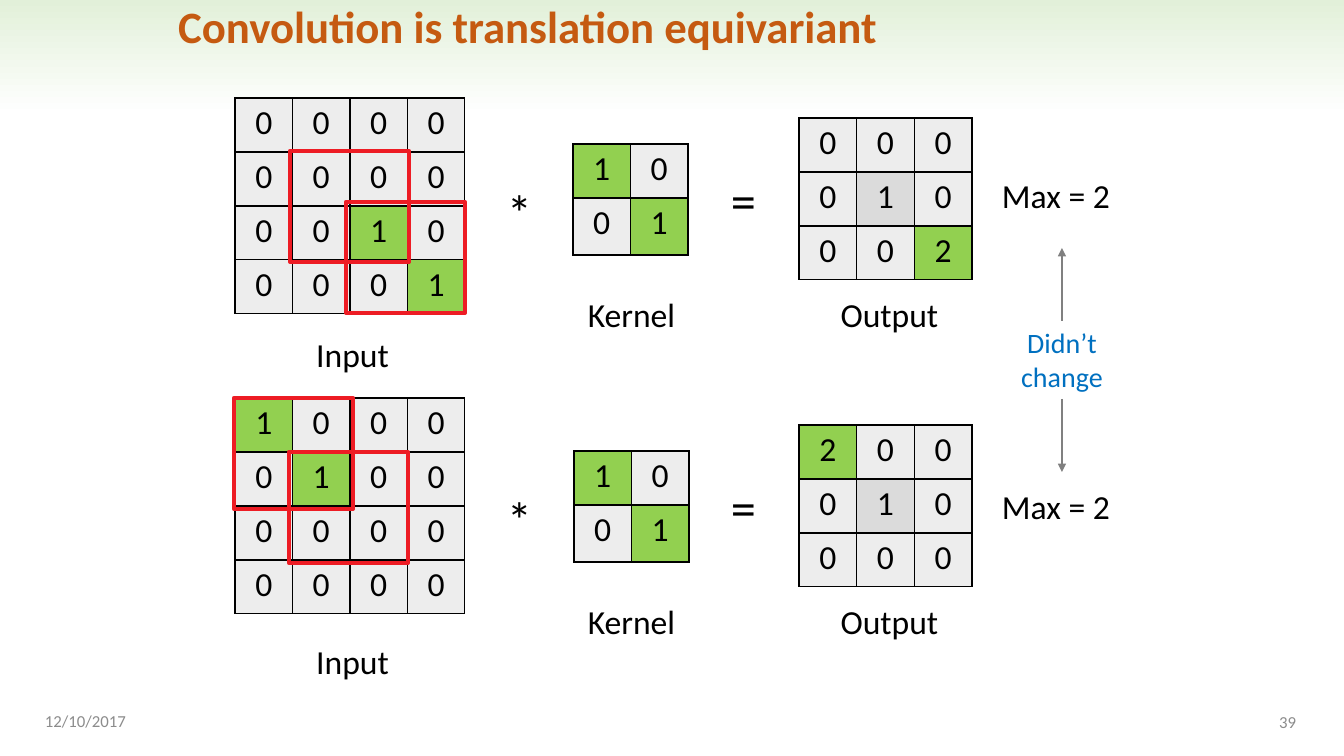
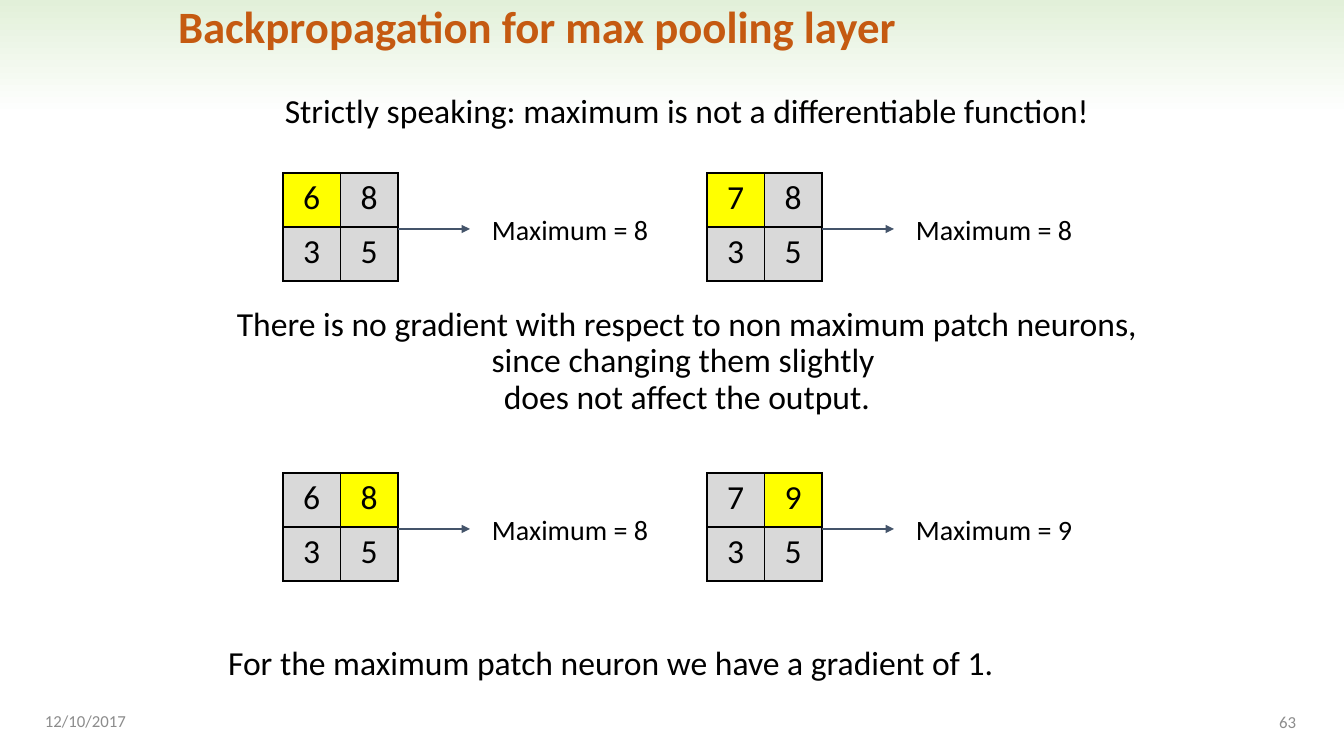
from dataclasses import dataclass
from typing import NamedTuple

from lxml import etree
from pptx import Presentation
from pptx.dml.color import RGBColor
from pptx.enum.shapes import MSO_CONNECTOR, MSO_SHAPE
from pptx.enum.text import MSO_ANCHOR, MSO_AUTO_SIZE, PP_ALIGN
from pptx.oxml.ns import qn
from pptx.util import Emu, Pt

LEFT, MID, RIGHT = PP_ALIGN.LEFT, PP_ALIGN.CENTER, PP_ALIGN.RIGHT
TOP, HALF = MSO_ANCHOR.TOP, MSO_ANCHOR.MIDDLE
RECT, LINE = MSO_SHAPE.RECTANGLE, MSO_CONNECTOR.STRAIGHT
FIXED = MSO_AUTO_SIZE.NONE

SCALE = 914400 / 100.8
WIDE, HIGH = 1344, 756
ROW = 54
FONT = "Calibri"
DATE = "12/10/2017"

BLACK, WHITE = "000000", "FFFFFF"
MINT, RUST = "E2F0D9", "C55A11"
PALE, GREY, ASH = "EDEDED", "DBDBDB", "D9D9D9"
GREEN, GOLD, RED = "92D050", "FFFF00", "ED1C24"
BLUE, SLATE, STEEL, DIM = "0070C0", "44546A", "808080", "8C8C8C"


class Box(NamedTuple):
    x: int
    y: int
    w: int
    h: int


@dataclass(frozen=True)
class Grid:
    x: int
    y: int
    w: int
    rows: tuple[str, ...]
    marks: dict[tuple[int, int], str]
    base: str = PALE
    last: int = ROW


@dataclass(frozen=True)
class Case:
    shift: int
    grids: tuple[Grid, ...]
    frames: tuple[tuple[int, int], ...]
    peak: int


@dataclass(frozen=True)
class Patch:
    x: int
    y: int
    rows: tuple[str, str]
    mark: tuple[int, int]
    peak: str


def px(count: int) -> Emu:
    return Emu(round(count * SCALE))


def tint(code: str) -> RGBColor:
    return RGBColor.from_string(code)


def write(par, text: str, *, size: int = 24, color: str = BLACK,
          bold: bool = False, align=LEFT, lead=1.0, after: int = 0) -> None:
    par.text = text
    par.alignment = align
    par.line_spacing = lead
    par.space_before = Pt(0)
    par.space_after = Pt(after)
    for run in par.runs:
        run.font.name = FONT
        run.font.size = Pt(size)
        run.font.bold = bold
        run.font.color.rgb = tint(color)


def place(shape, box: Box):
    shape.left, shape.top, shape.width, shape.height = map(px, box)
    frame = shape.text_frame
    frame.auto_size = FIXED
    frame.vertical_anchor = TOP
    return frame


def label(slide, box: Box, text: str, *, wrap: bool = True, anchor=TOP,
          inset: int = 0, **form):
    shape = slide.shapes.add_textbox(*map(px, box))
    frame = shape.text_frame
    frame.word_wrap = wrap
    frame.vertical_anchor = anchor
    if inset:
        pad = px(inset)
        frame.margin_left = frame.margin_right = pad
        frame.margin_top = frame.margin_bottom = pad
    write(frame.paragraphs[0], text, **form)
    return shape


def edge(cell) -> None:
    props = cell._tc.get_or_add_tcPr()
    for side in ("a:lnL", "a:lnR", "a:lnT", "a:lnB"):
        line = etree.SubElement(props, qn(side), w=str(Pt(1)))
        fill = etree.SubElement(line, qn("a:solidFill"))
        etree.SubElement(fill, qn("a:srgbClr"), val=BLACK)


def table(slide, grid: Grid) -> None:
    count, span = len(grid.rows), len(grid.rows[0])
    high = ROW * (count - 1) + grid.last
    box = Box(grid.x, grid.y, grid.w, high)
    tab = slide.shapes.add_table(count, span, *map(px, box)).table
    tab.first_row = tab.horz_banding = False
    for col in tab.columns:
        col.width = Emu(px(grid.w) // span)
    for r, digits in enumerate(grid.rows):
        tab.rows[r].height = px(grid.last if r == count - 1 else ROW)
        for c, digit in enumerate(digits):
            cell = tab.cell(r, c)
            edge(cell)
            cell.fill.solid()
            cell.fill.fore_color.rgb = tint(grid.marks.get((r, c), grid.base))
            write(cell.text_frame.paragraphs[0], digit, align=MID)


def arrow(slide, x: int, y: int, far: int, end: int, color: str, width: float):
    link = slide.shapes.add_connector(LINE, px(x), px(y), px(far), px(end))
    link.line.color.rgb = tint(color)
    link.line.width = Pt(width)
    props = link.element.spPr
    etree.SubElement(props.find(qn("a:ln")), qn("a:tailEnd"), type="triangle")
    etree.SubElement(props, qn("a:effectLst"))
    return link


def frame_in(slide, x: int, y: int) -> None:
    shape = slide.shapes.add_shape(RECT, *map(px, Box(x, y, 119, 111)))
    shape.shadow.inherit = False
    shape.fill.background()
    shape.line.color.rgb = tint(RED)
    shape.line.width = Pt(3)


def band(deck, slide) -> None:
    shape = slide.shapes.add_shape(RECT, *map(px, Box(0, 0, WIDE, 115)))
    shape.shadow.inherit = False
    shape.line.fill.background()
    shape.fill.gradient()
    shape.fill.gradient_angle = 270
    for stop, color in zip(shape.fill.gradient_stops, (MINT, WHITE)):
        stop.color.rgb = tint(color)
    deck.slide_master.shapes.element.insert(2, shape.element)


def start(deck, style: int, title: str, page: str):
    slide = deck.slides.add_slide(deck.slide_layouts[style])
    frame = place(slide.shapes.title, Box(168, 0, 1008, 69))
    write(frame.paragraphs[0], title, size=32, color=RUST, bold=True, lead=0.9)
    label(slide, Box(35, 701, 302, 40), DATE, size=12, color=DIM, anchor=HALF)
    label(slide, Box(1004, 702, 302, 40), page, size=12, color=DIM,
          anchor=HALF, align=RIGHT)
    return slide


KERNEL = ("10", "01")
CROSS = {(0, 0): GREEN, (1, 1): GREEN}
CASES = (
    Case(0, (
        Grid(235, 98, 230, ("0000", "0000", "0010", "0001"),
             {(2, 2): GREEN, (3, 3): GREEN}),
        Grid(573, 144, 115, KERNEL, CROSS, last=57),
        Grid(799, 118, 173, ("000", "010", "002"),
             {(1, 1): GREY, (2, 2): GREEN}),
    ), ((290, 151), (346, 202)), 170),
    Case(307, (
        Grid(235, 398, 230, ("1000", "0100", "0000", "0000"), CROSS),
        Grid(574, 451, 115, KERNEL, CROSS, last=57),
        Grid(799, 425, 173, ("200", "010", "000"),
             {(0, 0): GREEN, (1, 1): GREY}),
    ), ((289, 452), (234, 398)), 481),
)
NAMES = ((290, 329, "Input"), (569, 289, "Kernel"), (827, 289, "Output"))
SIGNS = ((497, 176, "*"), (721, 164, "="))

PATCHES = (
    Patch(283, 173, ("68", "35"), (0, 0), "8"),
    Patch(707, 173, ("78", "35"), (0, 0), "8"),
    Patch(283, 473, ("68", "35"), (0, 1), "8"),
    Patch(707, 473, ("79", "35"), (0, 1), "9"),
)
CLAIMS = (
    ("Strictly speaking: maximum is not a differentiable function!", MID, 126),
    ("There is no gradient with respect to non maximum patch neurons, "
     "since changing them slightly \ndoes not affect the output.", MID, 164),
    ("For the maximum patch neuron we have a gradient of 1.", LEFT, 12),
)


def shifts(deck) -> None:
    slide = start(deck, 5, "Convolution is translation equivariant", "39")
    band(deck, slide)
    for case in CASES:
        for grid in case.grids:
            table(slide, grid)
        for x, y, name in NAMES:
            label(slide, Box(x, y + case.shift, 125, 50), name, align=MID)
        for x, y, sign in SIGNS:
            label(slide, Box(x, y + case.shift, 43, 72), sign, size=36)
        for x, y in case.frames:
            frame_in(slide, x, y)
        label(slide, Box(992, case.peak, 129, 50), "Max = 2", wrap=False)
    note = label(slide, Box(1011, 321, 102, 78), "Didn’t\nchange", size=20,
                 color=BLUE, align=MID, wrap=False)
    for side, y, end in ((2, 399, 472), (0, 321, 248)):
        link = arrow(slide, 1062, y, 1062, end, STEEL, 1.5)
        link.begin_connect(note, side)


def pooling(deck) -> None:
    slide = start(deck, 1, "Backpropagation for max pooling layer", "63")
    frame = place(slide.placeholders[1], Box(218, 89, 938, 615))
    for spot, (text, align, after) in enumerate(CLAIMS):
        par = frame.add_paragraph() if spot else frame.paragraphs[0]
        write(par, text, align=align, lead=Pt(26), after=after)
        props = par._p.get_or_add_pPr()
        props.set("marL", "0")
        props.set("indent", "0")
        etree.SubElement(props, qn("a:buNone"))
    for patch in PATCHES:
        x, y = patch.x, patch.y
        table(slide, Grid(x, y, 115, patch.rows, {patch.mark: GOLD}, ASH))
        arrow(slide, x + 115, y + 56, x + 187, y + 56, SLATE, 2)
        label(slide, Box(x + 204, y + 34, 172, 44), f"Maximum = {patch.peak}",
              size=20, wrap=False, inset=5)


def main() -> None:
    deck = Presentation()
    deck.slide_width, deck.slide_height = px(WIDE), px(HIGH)
    shifts(deck)
    pooling(deck)
    deck.save("out.pptx")


if __name__ == "__main__":
    main()
